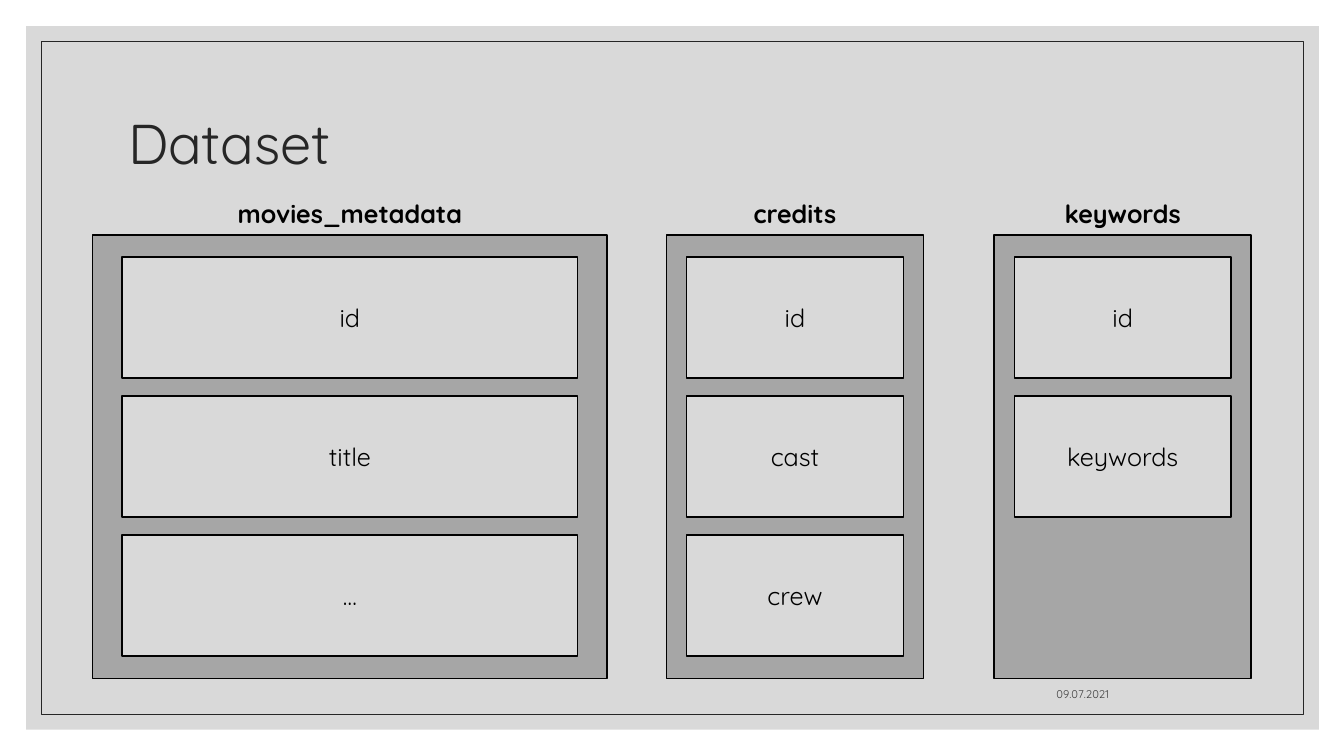
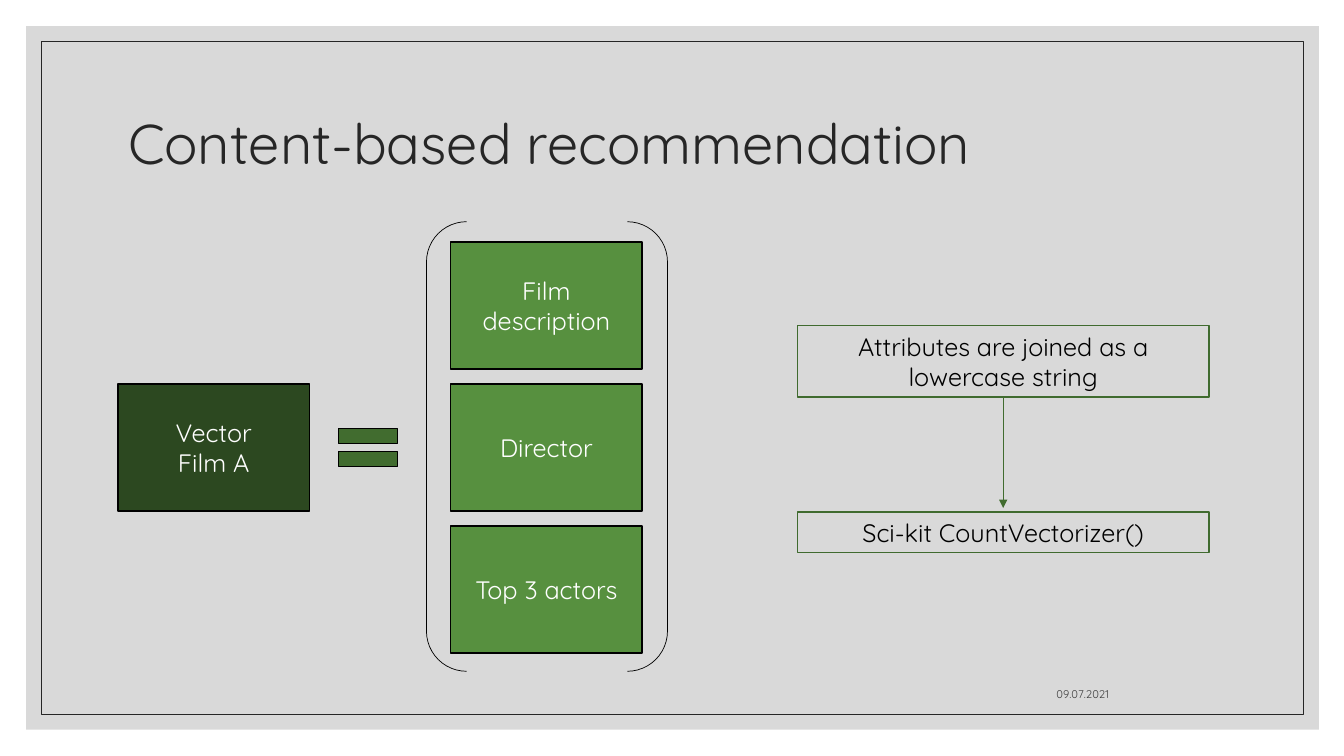
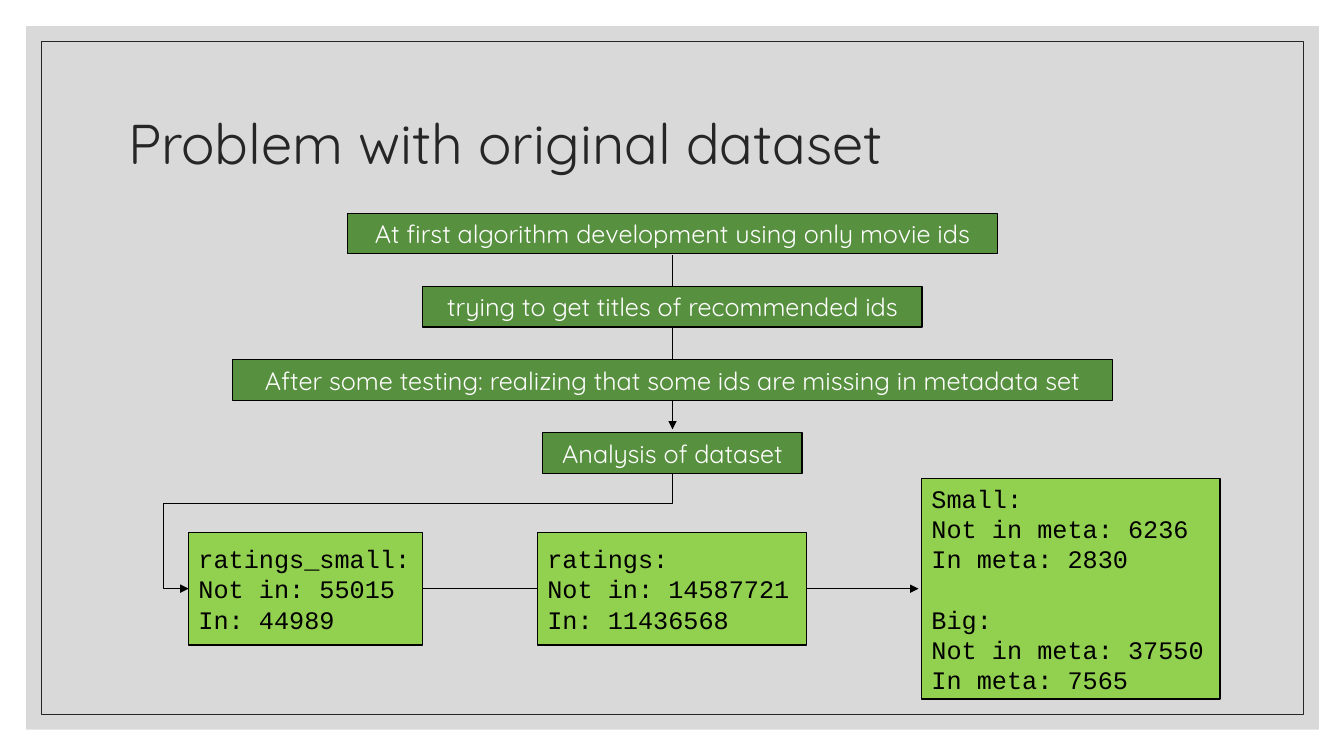
from dataclasses import dataclass

from lxml.etree import SubElement
from pptx import Presentation
from pptx.dml.color import RGBColor
from pptx.enum.shapes import MSO_CONNECTOR, MSO_SHAPE
from pptx.enum.text import MSO_ANCHOR, PP_ALIGN
from pptx.oxml.ns import qn
from pptx.util import Inches, Pt


@dataclass(frozen=True)
class Theme:
    font: str = "Quicksand"
    code_font: str = "Courier New"
    title_size: float = 40
    text_size: float = 18
    date_size: float = 8
    thin: float = 0.5
    medium: float = 0.75
    thick: float = 1
    black: str = "000000"
    white: str = "FFFFFF"
    ink: str = "262626"
    date_ink: str = "404040"
    page: str = "D9D9D9"
    panel: str = "A6A6A6"
    dark_green: str = "2C4820"
    deep_green: str = "416C2F"
    edge_green: str = "406B2F"
    green: str = "57903F"
    lime: str = "92D050"


THEME = Theme()

DATE = "09.07.2021"

TABLES = [
    ("movies_metadata", 0.92, 5.10, 0.29, ["id", "title", "…"]),
    ("credits", 6.61, 2.55, 0.20, ["id", "cast", "crew"]),
    ("keywords", 9.86, 2.55, 0.20, ["id", "keywords"]),
]

VECTOR = "Vector\nFilm A"
ATTRIBUTES = ["Film description", "Director", "Top 3 actors"]
PROCESS = [
    ("Attributes are joined as a lowercase string", 3.23, 0.71),
    ("Sci-kit CountVectorizer()", 5.08, 0.40),
]

STEPS = [
    ("At first algorithm development using only movie ids", 6.44),
    ("trying to get titles of recommended ids", 4.95),
    ("After some testing: realizing that some ids are missing in metadata set", 8.72),
    ("Analysis of dataset", 2.57),
]
COUNTS = [
    ("ratings_small:\nNot in: 55015\nIn: 44989", 1.87, 2.32, 1.12),
    ("ratings:\nNot in: 14587721\nIn: 11436568", 5.33, 2.67, 1.12),
    ("Small:\nNot in meta: 6236\nIn meta: 2830\n\n"
     "Big:\nNot in meta: 37550\nIn meta: 7565", 9.14, 2.96, 2.19),
]


def color(value):
    return RGBColor.from_string(value)


def write(shape, text, *, size=THEME.text_size, font=THEME.font, ink=THEME.black,
          bold=False, align=PP_ALIGN.CENTER, anchor=MSO_ANCHOR.MIDDLE,
          spacing=None, block_gap=21.6):
    frame = shape.text_frame
    frame.word_wrap = True
    frame.vertical_anchor = anchor
    frame.text = text.replace("\n\n", "\n")
    block_starts = set()
    count = 0
    for block in text.split("\n\n"):
        block_starts.add(count)
        count += len(block.split("\n"))
    for index, para in enumerate(frame.paragraphs):
        para.alignment = align
        if spacing:
            para.line_spacing = spacing
        if index and index in block_starts:
            para.space_before = Pt(block_gap)
        for span in para.runs:
            span.font.name = font
            span.font.size = Pt(size)
            span.font.bold = bold
            span.font.color.rgb = color(ink)


def add_box(page, left, top, width, height, *, kind=MSO_SHAPE.RECTANGLE, fill=None,
            line=THEME.black, weight=THEME.thick, text=None, **text_format):
    box = page.shapes.add_shape(kind, Inches(left), Inches(top), Inches(width), Inches(height))
    box.shadow.inherit = False
    if fill:
        box.fill.solid()
        box.fill.fore_color.rgb = color(fill)
    else:
        box.fill.background()
    if line:
        box.line.color.rgb = color(line)
        box.line.width = Pt(weight)
    else:
        box.line.fill.background()
    if text:
        write(box, text, **text_format)
    return box


def add_label(page, left, top, width, height, text, **text_format):
    label = page.shapes.add_textbox(Inches(left), Inches(top), Inches(width), Inches(height))
    write(label, text, **text_format)


def add_line(page, start, end, *, kind=MSO_CONNECTOR.STRAIGHT, ink=THEME.black, arrow=False):
    line = page.shapes.add_connector(kind, *[Inches(value) for value in (*start, *end)])
    line.line.color.rgb = color(ink)
    line.line.width = Pt(THEME.thin)
    if arrow:
        SubElement(line.line._get_or_add_ln(), qn("a:tailEnd"), type="triangle")
    SubElement(line._element.spPr, qn("a:effectLst"))
    return line


def add_bent_arrow(page, start, end, *, turn, overshoot):
    across, down = start[0] - end[0], end[1] - start[1]
    middle_x, middle_y = (start[0] + end[0]) / 2, (start[1] + end[1]) / 2
    arrow = add_line(page, (middle_x - down / 2, middle_y - across / 2),
                     (middle_x + down / 2, middle_y + across / 2),
                     kind=MSO_CONNECTOR.ELBOW, arrow=True)
    properties = arrow._element.spPr
    properties.find(qn("a:xfrm")).set("rot", str(90 * 60000))
    geometry = properties.find(qn("a:prstGeom"))
    geometry.set("prst", "bentConnector4")
    guides = geometry.find(qn("a:avLst"))
    if guides is None:
        guides = SubElement(geometry, qn("a:avLst"))
    for name, share in (("adj1", turn / down), ("adj2", 1 + overshoot / across)):
        SubElement(guides, qn("a:gd"), name=name, fmla=f"val {round(share * 100000)}")


def add_frame(page, layout):
    backdrop = add_box(page, 0.26, 0.26, 12.82, 6.98, fill=THEME.page, line=None)
    border = add_box(page, 0.41, 0.41, 12.52, 6.68, line=THEME.ink, weight=THEME.thin)
    for position, shape in enumerate((backdrop, border), start=2):
        layout.shapes._spTree.insert(position, shape._element)


def add_page(deck, title, dated=True):
    layout = deck.slide_layouts[5]
    page = deck.slides.add_slide(layout)
    if len(deck.slides) == 1:
        add_frame(page, layout)
    heading = page.shapes.title
    heading.left, heading.top = Inches(1.17), Inches(0.7)
    heading.width, heading.height = Inches(11), Inches(1.5)
    write(heading, title, size=THEME.title_size, ink=THEME.ink,
          align=PP_ALIGN.LEFT, spacing=0.9)
    if dated:
        add_label(page, 7.94, 6.6, 3.16, 0.4, DATE, size=THEME.date_size,
                  ink=THEME.date_ink, align=PP_ALIGN.RIGHT, anchor=MSO_ANCHOR.BOTTOM)
    return page


def build_dataset(deck):
    page = add_page(deck, "Dataset")
    for name, left, width, margin, fields in TABLES:
        add_box(page, left, 2.33, width, 4.4, fill=THEME.panel)
        add_label(page, left, 1.92, width, 0.4, name, bold=True, anchor=MSO_ANCHOR.TOP)
        for row, field in enumerate(fields):
            add_box(page, left + margin, 2.55 + row * 1.38, width - 2 * margin, 1.2,
                    fill=THEME.page, text=field)


def build_recommendation(deck):
    page = add_page(deck, "Content-based recommendation")
    width, height = 1.9, 1.26
    for row, attribute in enumerate(ATTRIBUTES):
        add_box(page, 4.47, 2.4 + row * 1.41, width, height, fill=THEME.green,
                text=attribute, ink=THEME.white)
    add_box(page, 1.17, 3.81, width, height, fill=THEME.dark_green,
            text=VECTOR, ink=THEME.white)
    add_box(page, 4.23, 2.2, 2.39, 4.46, kind=MSO_SHAPE.DOUBLE_BRACKET, weight=THEME.thin)
    add_box(page, 3.25, 4.12, 0.8, 0.64, kind=MSO_SHAPE.MATH_EQUAL, fill=THEME.deep_green)
    for text, top, box_height in PROCESS:
        add_box(page, 7.91, top, 4.08, box_height, line=THEME.edge_green, text=text)
    add_line(page, (9.95, 3.93), (9.95, 5.04), ink=THEME.deep_green, arrow=True)


def build_problem(deck):
    page = add_page(deck, "Problem with original dataset", dated=False)
    center, middle = 6.67, 5.84
    add_line(page, (center, 2.53), (center, 4.26), arrow=True)
    for row, (text, width) in enumerate(STEPS):
        add_box(page, center - width / 2, 2.12 + row * 0.725, width, 0.4,
                fill=THEME.green, weight=THEME.medium, text=text, ink=THEME.white)
    for text, left, width, height in COUNTS:
        add_box(page, left, middle - height / 2, width, height, fill=THEME.lime,
                text=text, font=THEME.code_font, align=PP_ALIGN.LEFT)
    add_bent_arrow(page, (center, 4.7), (COUNTS[0][1], middle), turn=0.29, overshoot=0.25)
    add_line(page, (4.19, middle), (5.33, middle))
    add_line(page, (8, middle), (9.11, middle), arrow=True)


def main():
    deck = Presentation()
    deck.slide_width, deck.slide_height = Inches(13.33), Inches(7.5)
    build_dataset(deck)
    build_recommendation(deck)
    build_problem(deck)
    deck.save("out.pptx")


if __name__ == "__main__":
    main()
